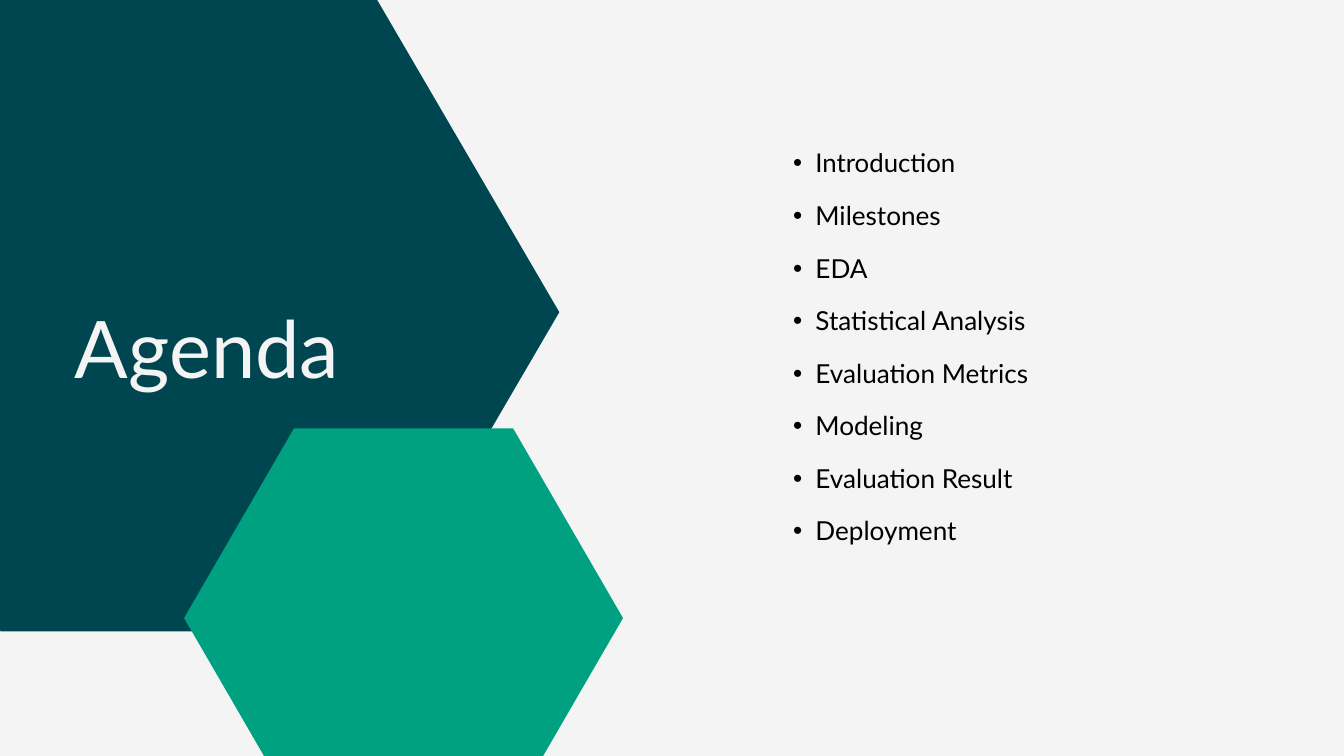
from lxml import etree
from pptx import Presentation
from pptx.dml.color import RGBColor
from pptx.enum.text import MSO_ANCHOR
from pptx.oxml.ns import qn
from pptx.util import Pt

PX = 9525
TOP = MSO_ANCHOR.TOP
PALE = RGBColor(0xF4, 0xF4, 0xF4)
TEAL = RGBColor(0x00, 0x46, 0x51)
GREEN = RGBColor(0x00, 0xA1, 0x81)
BLACK = RGBColor(0x00, 0x00, 0x00)

deck = Presentation()
deck.slide_width = 1920 * PX
deck.slide_height = 1080 * PX
page = deck.slides.add_slide(deck.slide_layouts[6])
page.background.fill.solid()
page.background.fill.fore_color.rgb = PALE


def add_text(text, left, top, width, height, size, leading, color):
    box = page.shapes.add_textbox(left * PX, top * PX, width * PX, height * PX)
    frame_format = {
        "word_wrap": True,
        "vertical_anchor": TOP,
        "margin_left": 0,
        "margin_top": 0,
        "margin_right": 0,
        "margin_bottom": 0,
    }
    for name, value in frame_format.items():
        setattr(box.text_frame, name, value)
    para = box.text_frame.paragraphs[0]
    para.line_spacing = Pt(size * leading)
    span = para.add_run()
    span.text = text
    for name, value in {"name": "Lato", "size": Pt(size)}.items():
        setattr(span.font, name, value)
    span.font.color.rgb = color
    return para


hexagons = [
    (-265, -10, 1064, 912, TEAL),
    (263, 612, 627, 542, GREEN),
]
for left, top, width, height, color in hexagons:
    right, bottom, middle = left + width, top + height, top + height / 2
    inner_left, inner_right = left + width / 4, right - width / 4
    outline = page.shapes.build_freeform(right, middle, scale=PX)
    outline.add_line_segments([
        (inner_right, bottom),
        (inner_left, bottom),
        (left, middle),
        (inner_left, top),
        (inner_right, top),
    ], close=True)
    hexagon = outline.convert_to_shape()
    hexagon.shadow.inherit = False
    hexagon.fill.solid()
    hexagon.fill.fore_color.rgb = color
    hexagon.line.fill.background()

add_text("Agenda", 107, 428, 468, 135, 85, 1.2, PALE)

topics = [
    ("Introduction", 27.6),
    ("Milestones", 28),
    ("EDA", 28),
    ("Statistical Analysis", 28),
    ("Evaluation Metrics", 28),
    ("Modeling", 28),
    ("Evaluation Result", 28),
    ("Deployment", 28),
]
for row, (topic, size) in enumerate(topics):
    para = add_text(topic, 1102, 203 + 75 * row, 641, 51, size, 1.4, BLACK)
    para.level = 1
    properties = para._p.get_or_add_pPr()
    for name, value in {"marL": 63, "indent": -32}.items():
        properties.set(name, str(value * PX))
    etree.SubElement(properties, qn("a:buFont")).set("typeface", "Arial")
    etree.SubElement(properties, qn("a:buChar")).set("char", "•")

deck.save("out.pptx")
